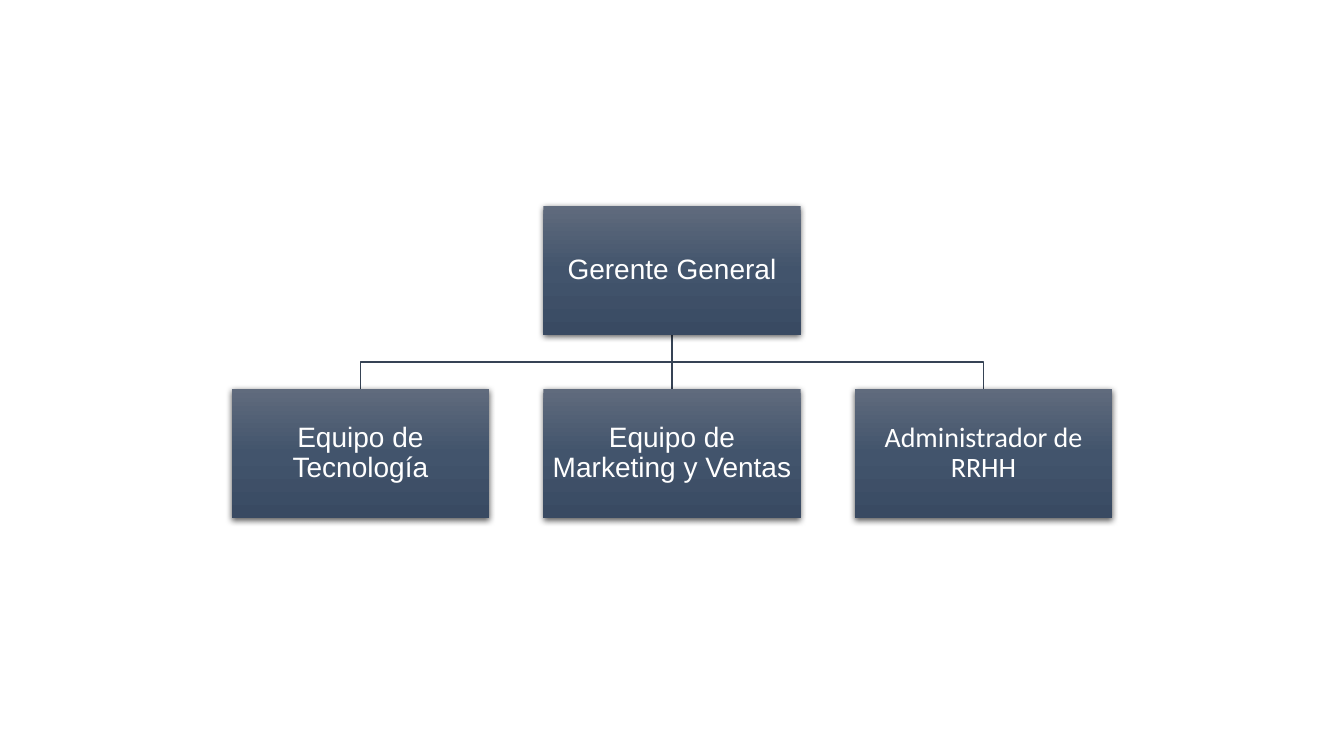
from copy import deepcopy

from lxml.etree import SubElement
from pptx import Presentation
from pptx.dml.color import RGBColor
from pptx.enum.shapes import MSO_CONNECTOR, MSO_SHAPE
from pptx.enum.text import MSO_ANCHOR, PP_ALIGN
from pptx.oxml.ns import qn
from pptx.util import Inches, Pt


def color(hex_code):
    return RGBColor.from_string(hex_code)


def write(shape, text, font="Arial", size=20, ink="FFFFFF"):
    frame = shape.text_frame
    frame.word_wrap = True
    frame.vertical_anchor = MSO_ANCHOR.MIDDLE
    frame.margin_left = frame.margin_right = Inches(0.01)
    frame.margin_top = frame.margin_bottom = Inches(0.01)
    para = frame.paragraphs[0]
    para.alignment = PP_ALIGN.CENTER
    para.line_spacing = 0.9
    span = para.add_run()
    span.text = text
    span.font.name = font
    span.font.size = Pt(size)
    span.font.color.rgb = color(ink)


deck = Presentation()
deck.slide_width, deck.slide_height = Inches(13.33), Inches(7.5)
page = deck.slides.add_slide(deck.slide_layouts[6])

# Grid: three columns around the slide's centre, two rows
box_width, box_height, gap = Inches(2.55), Inches(1.28), Inches(0.54)
middle = deck.slide_width // 2
column_centers = [middle + step * (box_width + gap) for step in (-1, 0, 1)]
top_row = Inches(2.04)
fork = top_row + box_height + gap // 2
team_row = top_row + box_height + gap
line_color = "364355"

# Branches from the manager to each team
for center in column_centers:
    if center == middle:
        branch = page.shapes.add_connector(
            MSO_CONNECTOR.STRAIGHT, middle, top_row + box_height, middle, team_row)
        SubElement(branch._element.spPr, qn("a:effectLst"))
    else:
        outline = page.shapes.build_freeform(middle, top_row + box_height)
        outline.add_line_segments(
            [(middle, fork), (center, fork), (center, team_row)], close=False)
        branch = outline.convert_to_shape()
        branch.fill.background()
        branch.shadow.inherit = False
    branch.line.color.rgb = color(line_color)
    branch.line.width = Pt(1)

# Boxes: centre, top, label, font
roles = [
    (middle, top_row, "Gerente General", "Arial"),
    (column_centers[0], team_row, "Equipo de Tecnología", "Arial"),
    (column_centers[1], team_row, "Equipo de Marketing y Ventas", "Arial"),
    (column_centers[2], team_row, "Administrador de RRHH", "Calibri"),
]
gradient = [(0, "606B7D"), (0.5, "42546C"), (1, "394A62")]

for center, top, label, font in roles:
    box = page.shapes.add_shape(
        MSO_SHAPE.RECTANGLE, center - box_width // 2, top, box_width, box_height)
    box.line.fill.background()

    # Vertical gradient with a third stop
    box.fill.gradient()
    box.fill.gradient_angle = 270
    stop_list = box._element.spPr.find(".//" + qn("a:gsLst"))
    stop_list.append(deepcopy(stop_list[0]))
    for stop, (position, shade) in zip(box.fill.gradient_stops, gradient):
        stop.position = position
        stop.color.rgb = color(shade)

    # Soft shadow below
    box.shadow.inherit = False
    effects = box._element.spPr.find(qn("a:effectLst"))
    shadow = SubElement(effects, qn("a:outerShdw"), blurRad=str(Pt(4.5)),
                        dist=str(Pt(1.5)), dir="5400000", algn="ctr", rotWithShape="0")
    tint = SubElement(shadow, qn("a:srgbClr"), val="000000")
    SubElement(tint, qn("a:alpha"), val="63000")

    write(box, label, font=font)

deck.save("out.pptx")
